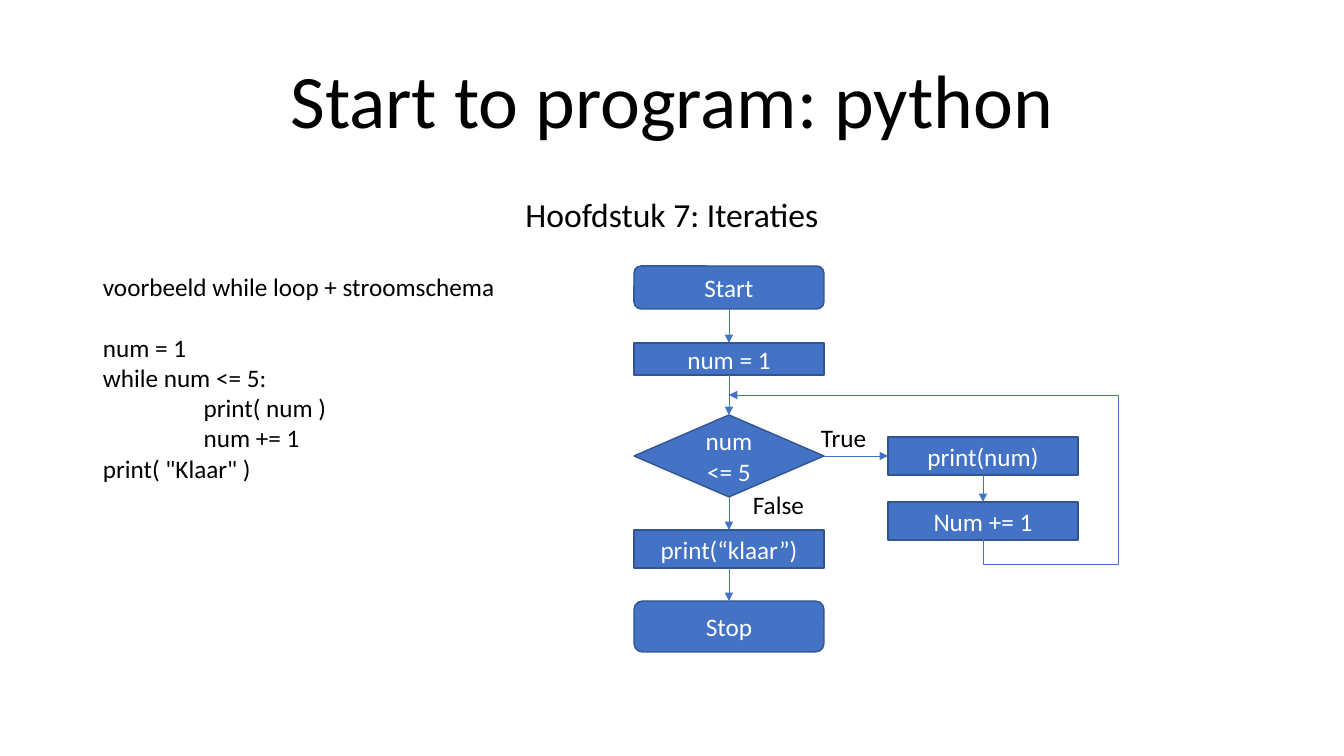
from dataclasses import dataclass
from pptx import Presentation
from pptx.dml.color import RGBColor
from pptx.enum.shapes import MSO_CONNECTOR as Link, MSO_SHAPE as Shape
from pptx.enum.text import MSO_ANCHOR as Anchor, MSO_AUTO_SIZE as Fit, PP_ALIGN as Align
from pptx.oxml.ns import qn
from pptx.util import Inches, Pt
from lxml.etree import SubElement


@dataclass
class Theme:
    font: str = "Calibri"
    ink: RGBColor = RGBColor(0, 0, 0)
    light: RGBColor = RGBColor(255, 255, 255)
    fill: RGBColor = RGBColor(0x44, 0x72, 0xC4)
    edge: RGBColor = RGBColor(0x32, 0x54, 0x91)
    title: Pt = Pt(54)
    subtitle: Pt = Pt(24)
    body: Pt = Pt(18)


theme = Theme()
SCALE = Inches(1) / 100.8


def write(box, text, size, color, align=Align.LEFT, spacing=1.0):
    box.text_frame.text = text
    for para in box.text_frame.paragraphs:
        para.alignment = align
        para.line_spacing = spacing
        para.space_before = Pt(0)
        para.font.name = theme.font
        para.font.size = size
        para.font.color.rgb = color


def style_arrow(arrow):
    arrow.line.color.rgb = theme.fill
    arrow.line.width = Pt(0.5)
    SubElement(arrow.line._get_or_add_ln(), qn("a:tailEnd"), type="triangle")
    SubElement(arrow._element.spPr, qn("a:effectLst"))


deck = Presentation()
deck.slide_width, deck.slide_height = round(1344 * SCALE), round(756 * SCALE)
page = deck.slides.add_slide(deck.slide_layouts[0])

headings = [
    (page.shapes.title, "Start to program: python", theme.title, 50, 183, Anchor.BOTTOM),
    (page.placeholders[1], "Hoofdstuk 7: Iteraties", theme.subtitle, 193, 58, Anchor.TOP),
]
for box, text, size, top, height, anchor in headings:
    box.left, box.top, box.width, box.height = [
        round(value * SCALE) for value in (168, top, 1008, height)]
    write(box, text, size, theme.ink, Align.CENTER, 0.9)
    box.text_frame.auto_size = Fit.NONE
    box.text_frame.vertical_anchor = anchor
page.shapes.title.text_frame.margin_bottom = round(88 * SCALE)

code_lines = [
    "voorbeeld while loop + stroomschema",
    "num = 1",
    "while num <= 5:",
    "print( num )",
    "num += 1",
    'print( "Klaar" )',
]
code = page.shapes.add_textbox(*[round(value * SCALE) for value in (93, 266, 459, 254)])
code.text_frame.word_wrap = True
write(code, "\n".join(code_lines), theme.body, theme.ink)
code_paras = code.text_frame.paragraphs
code_paras[1].space_before = Pt(22)
for para in code_paras[3:5]:
    para._p.get_or_add_pPr().set("marL", str(Inches(1)))

MAIN, BRANCH, STEP_WIDTH = 634, 888, 190
steps = [
    ("start", Shape.ROUNDED_RECTANGLE, "Start", MAIN, 266, 43),
    ("init", Shape.RECTANGLE, "num = 1", MAIN, 343, 32),
    ("test", Shape.DIAMOND, "num <= 5", MAIN, 415, 82),
    ("done", Shape.RECTANGLE, "print(“klaar”)", MAIN, 530, 38),
    ("stop", Shape.ROUNDED_RECTANGLE, "Stop", MAIN, 601, 51),
    ("show", Shape.RECTANGLE, "print(num)", BRANCH, 437, 38),
    ("add", Shape.RECTANGLE, "Num += 1", BRANCH, 502, 38),
]
nodes = {}
for name, kind, text, left, top, height in steps:
    node = page.shapes.add_shape(
        kind, *[round(value * SCALE) for value in (left, top, STEP_WIDTH, height)])
    node.shadow.inherit = False
    node.fill.solid()
    node.fill.fore_color.rgb = theme.fill
    node.line.color.rgb = theme.edge
    node.line.width = Pt(1)
    node.text_frame.word_wrap = True
    node.text_frame.vertical_anchor = Anchor.MIDDLE
    write(node, text, theme.body, theme.light, Align.CENTER)
    nodes[name] = node

TOP, LEFT, BOTTOM, RIGHT = range(4)
flows = [
    ("start", BOTTOM, "init", TOP),
    ("init", BOTTOM, "test", TOP),
    ("test", BOTTOM, "done", TOP),
    ("done", BOTTOM, "stop", TOP),
    ("test", RIGHT, "show", LEFT),
    ("show", BOTTOM, "add", TOP),
]
for source, source_side, target, target_side in flows:
    arrow = page.shapes.add_connector(Link.STRAIGHT, 0, 0, 0, 0)
    arrow.begin_connect(nodes[source], source_side)
    arrow.end_connect(nodes[target], target_side)
    style_arrow(arrow)

loop = page.shapes.add_connector(
    Link.ELBOW, *[round(value * SCALE) for value in (928, 340, 784, 594)])
loop._element.spPr.find(qn("a:xfrm")).set("rot", str(90 * 60000))
bend = loop._element.spPr.find(qn("a:prstGeom"))
bend.set("prst", "bentConnector4")
guides = bend.find(qn("a:avLst"))
for name, value in (("adj1", -17500), ("adj2", -53300)):
    SubElement(guides, qn("a:gd"), name=name, fmla=f"val {value}")
style_arrow(loop)

for text, left, top, width in (("True", 811, 417, 67), ("False", 743, 484, 72)):
    label = page.shapes.add_textbox(*[round(value * SCALE) for value in (left, top, width, 40)])
    label.text_frame.word_wrap = False
    label.text_frame.auto_size = Fit.SHAPE_TO_FIT_TEXT
    write(label, text, theme.body, theme.ink)

deck.save("out.pptx")
